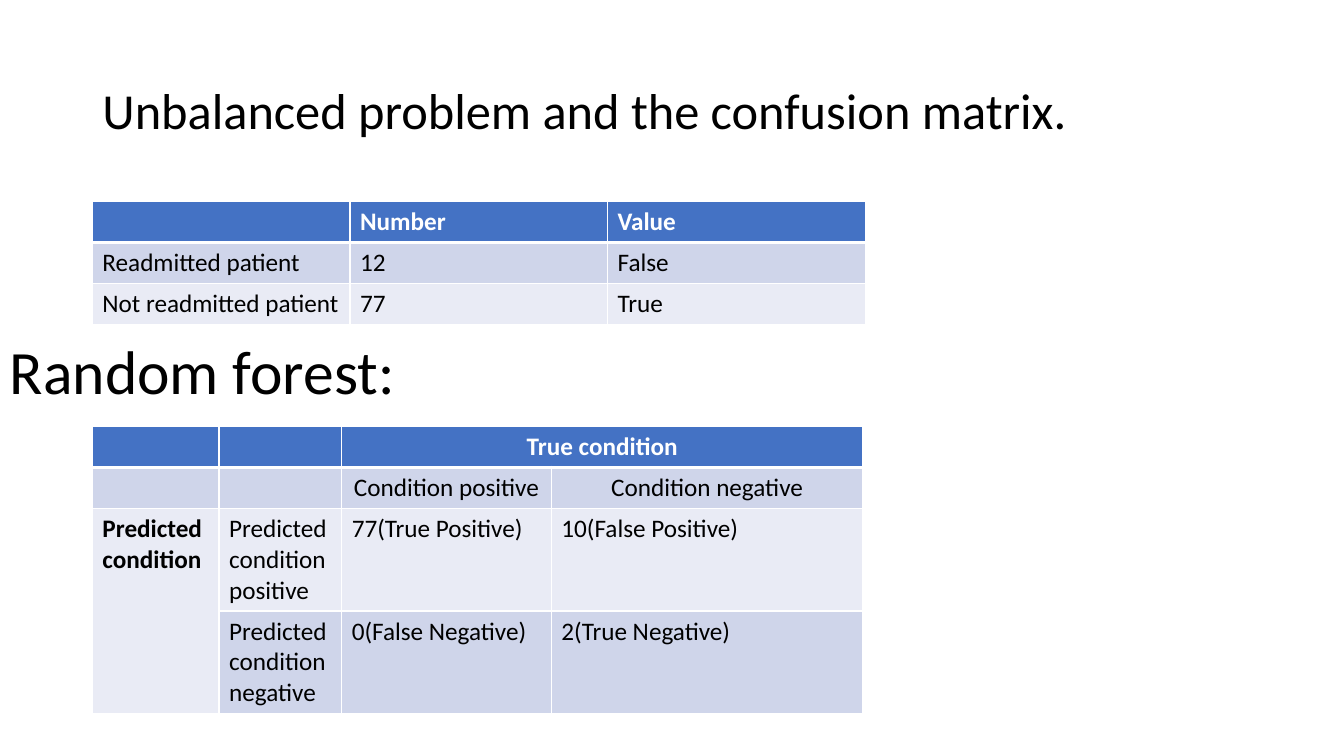
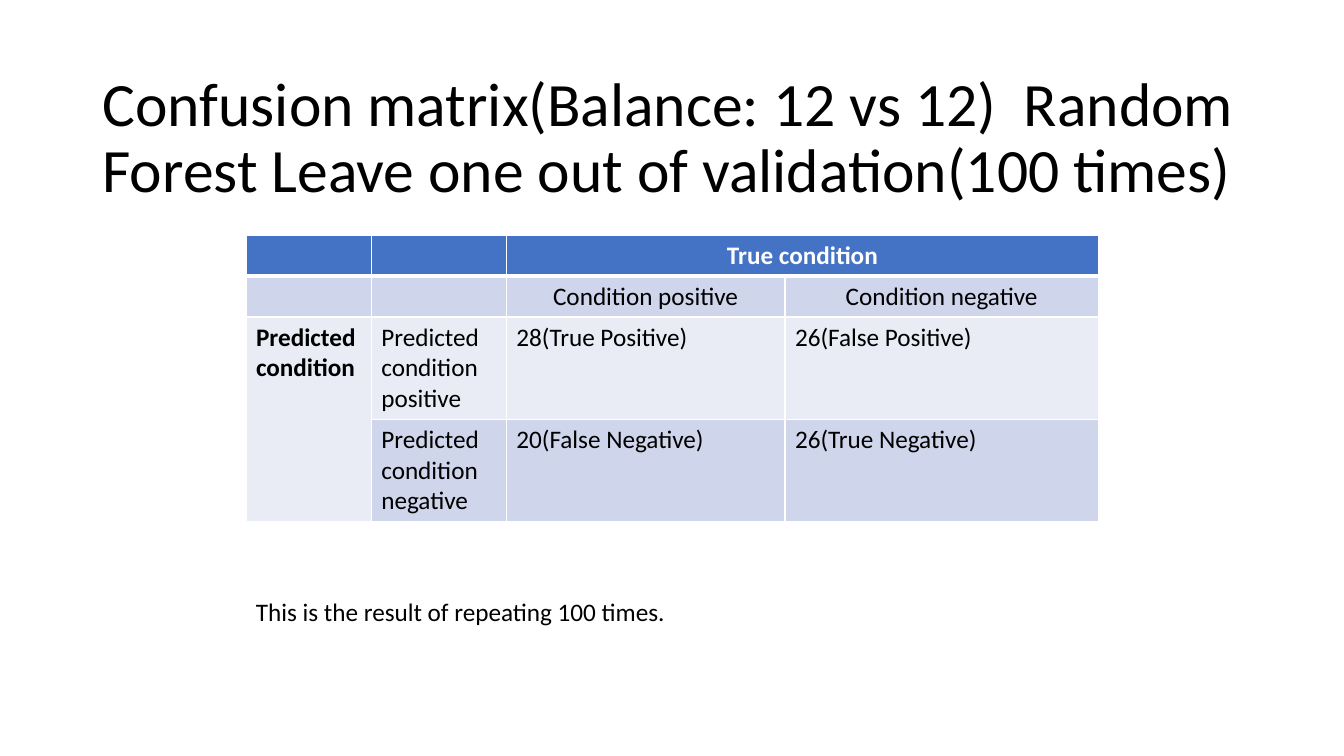
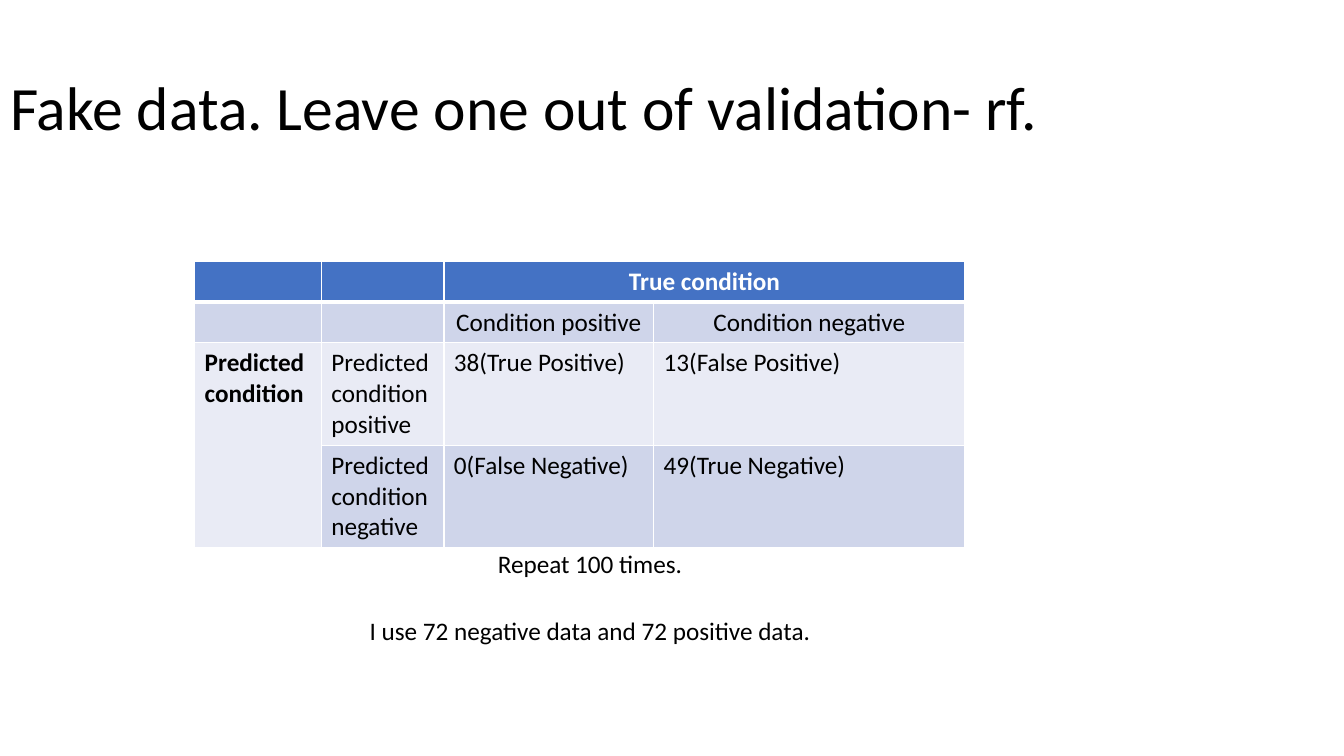
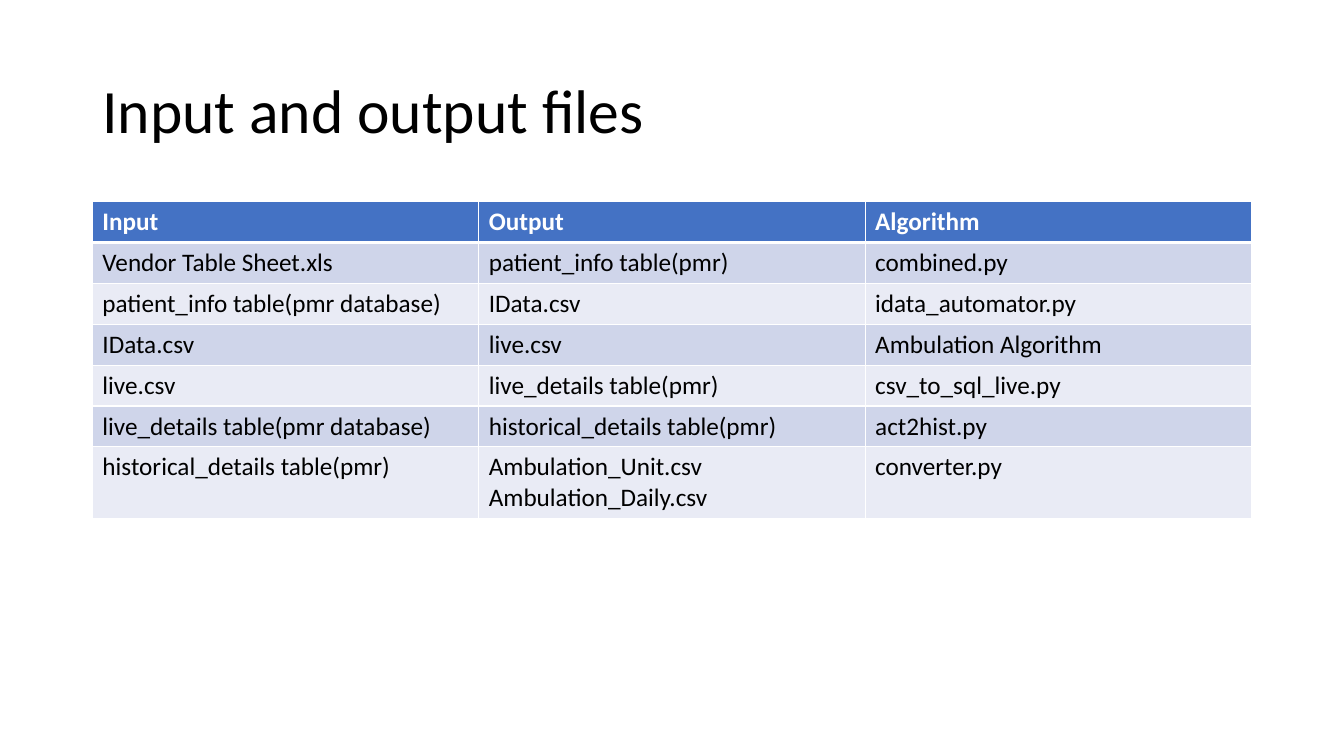
from dataclasses import dataclass

from lxml.etree import SubElement
from pptx import Presentation
from pptx.dml.color import RGBColor as Color
from pptx.enum.text import MSO_ANCHOR as Anchor, MSO_AUTO_SIZE as AutoSize, PP_ALIGN as Align
from pptx.oxml.ns import qn
from pptx.util import Pt


@dataclass(frozen=True)
class Theme:
    """Colours, font, type sizes and table measures of the deck."""
    font: str = "Calibri"
    ink: str = "000000"
    paper: str = "FFFFFF"
    header: str = "4472C4"
    bands: tuple = ("CFD5EA", "E9EBF5")
    title_size: int = 44
    small_title_size: int = 36
    body_size: int = 18
    line_height: int = 22
    cell_padding: float = 7.2
    thin: int = 1
    thick: int = 3


class Slides:
    """Holds the deck, its theme and the slide being filled."""

    def __init__(self, theme):
        """Start an empty widescreen deck."""
        self.theme = theme
        self.deck = Presentation()
        self.deck.slide_width, self.deck.slide_height = Pt(960), Pt(540)
        self.page = None

    def add_text(self, para, text, size, color=None, bold=False):
        """Add text to a paragraph, a run for each line."""
        for number, line in enumerate(text.split("\n")):
            if number:
                para.add_line_break()
            span = para.add_run()
            span.text = line
            span.font.name = self.theme.font
            span.font.size = Pt(size)
            span.font.bold = bold
            span.font.color.rgb = Color.from_string(color or self.theme.ink)

    def fill_heading(self, box, text, size):
        """Put heading text in a box, left and vertically centred."""
        frame = box.text_frame
        frame.word_wrap = True
        frame.auto_size = AutoSize.NONE
        frame.vertical_anchor = Anchor.MIDDLE
        para = frame.paragraphs[0]
        para.alignment = Align.LEFT
        para.line_spacing = 0.9
        self.add_text(para, text, size)

    def add_page(self, title, left=66, top=28.8, height=104.4, size=None):
        """Start a slide with its title."""
        self.page = self.deck.slides.add_slide(self.deck.slide_layouts[5])
        box = self.page.shapes.title
        box.left, box.top, box.width, box.height = Pt(left), Pt(top), Pt(828), Pt(height)
        self.fill_heading(box, title, size or self.theme.title_size)

    def add_heading(self, text, left, top):
        """Add a second heading in a text box."""
        box = self.page.shapes.add_textbox(Pt(left), Pt(top), Pt(828), Pt(104.4))
        self.fill_heading(box, text, self.theme.title_size)

    def add_note(self, text, left, top, width):
        """Add a line of body text."""
        box = self.page.shapes.add_textbox(Pt(left), Pt(top), Pt(width), Pt(29))
        box.text_frame.word_wrap = True
        self.add_text(box.text_frame.paragraphs[0], text, self.theme.body_size)

    def style_cell(self, cell, row):
        """Give a cell the fill and borders of its row."""
        theme = self.theme
        fill = theme.bands[(row - 1) % 2] if row else theme.header
        cell.fill.solid()
        cell.fill.fore_color.rgb = Color.from_string(fill)
        widths = {
            "a:lnL": theme.thin,
            "a:lnR": theme.thin,
            "a:lnT": theme.thick if row == 1 else theme.thin,
            "a:lnB": theme.thin if row else theme.thick,
        }
        properties = cell._tc.get_or_add_tcPr()
        for place, (tag, width) in enumerate(widths.items()):
            line = SubElement(properties, qn(tag), w=str(Pt(width)))
            SubElement(SubElement(line, qn("a:solidFill")), qn("a:srgbClr"), val=theme.paper)
            properties.insert(place, line)

    def add_table(self, rows, left, top, widths, lines):
        """Add a table; lines holds the number of text lines in each row."""
        theme = self.theme
        heights = [count * theme.line_height + theme.cell_padding for count in lines]
        table = self.page.shapes.add_table(
            len(rows), len(widths), Pt(left), Pt(top), Pt(sum(widths)), Pt(sum(heights))).table
        for column, width in zip(table.columns, widths):
            column.width = Pt(width)
        for row, (texts, height) in enumerate(zip(rows, heights)):
            table.rows[row].height = Pt(height)
            for column, text in enumerate(texts):
                cell = table.cell(row, column)
                self.style_cell(cell, row)
                paragraphs = text if isinstance(text, list) else [text]
                for number, words in enumerate(paragraphs):
                    frame = cell.text_frame
                    para = frame.add_paragraph() if number else frame.paragraphs[0]
                    if words:
                        self.add_text(para, words, theme.body_size,
                                      theme.ink if row else theme.paper, bold=row == 0)
        return table

    def add_confusion_matrix(self, counts, left, top, widths):
        """Add a matrix of true and false positives and negatives."""
        true_pos, false_pos, false_neg, true_neg = counts
        rows = [
            ["", "", "True condition", ""],
            ["", "", "Condition positive", "Condition negative"],
            ["Predicted\ncondition", "Predicted condition\npositive",
             f"{true_pos}(True Positive)", f"{false_pos}(False Positive)"],
            ["", "Predicted condition\nnegative",
             f"{false_neg}(False Negative)", f"{true_neg}(True Negative)"],
        ]
        table = self.add_table(rows, left, top, widths, [1, 1, 3, 3])
        table.cell(0, 2).merge(table.cell(0, 3))
        table.cell(2, 0).merge(table.cell(3, 0))
        for row, column in ((0, 2), (1, 2), (1, 3)):
            cell = table.cell(row, column)
            cell.vertical_anchor = Anchor.MIDDLE
            cell.text_frame.paragraphs[0].alignment = Align.CENTER
        for span in table.cell(2, 0).text_frame.paragraphs[0].runs:
            span.font.bold = True


def build():
    """Build the four slides and save the deck."""
    theme = Theme()
    slides = Slides(theme)
    narrow_matrix = [90.5, 87.6, 149.8, 222.5]
    wide_matrix = [89.5, 96.5, 199, 224]

    slides.add_page("Unbalanced problem and the confusion matrix.", size=theme.small_title_size)
    patients = [
        ["", "Number", "Value"],
        ["Readmitted patient", "12", "False"],
        ["Not readmitted patient", "77", "True"],
    ]
    slides.add_table(patients, 66, 144, [184] * 3, [1] * 3)
    slides.add_confusion_matrix((77, 10, 0, 2), 66, 304.8, narrow_matrix)
    slides.add_heading("Random forest:", 0, 215.3)

    slides.add_page("Confusion matrix(Balance: 12 vs 12)  Random Forest "
                    "Leave one out of validation(100 times)", top=31.7, height=136)
    slides.add_confusion_matrix((28, 26, 20, 26), 175.7, 168, wide_matrix)
    slides.add_note("This is the result of repeating 100 times.", 175.7, 422.6, 553)

    slides.add_page("Fake data. Leave one out of validation- rf.", left=0, top=26.6)
    slides.add_confusion_matrix((38, 13, 0, 49), 139, 186.5, narrow_matrix)
    slides.add_note("Repeat 100 times.", 348.5, 388, 171.4)
    slides.add_note("I use 72 negative data and 72 positive data.", 257, 436.3, 446.4)

    slides.add_page("Input and output files")
    files = [
        ["Input", "Output", "Algorithm"],
        ["Vendor Table Sheet.xls", "patient_info table(pmr)", "combined.py"],
        ["patient_info table(pmr database)", "IData.csv", "idata_automator.py"],
        ["IData.csv", "live.csv", "Ambulation Algorithm"],
        ["live.csv", "live_details table(pmr)", "csv_to_sql_live.py"],
        ["live_details table(pmr database)", "historical_details table(pmr)", "act2hist.py"],
        ["historical_details table(pmr)", ["Ambulation_Unit.csv", "Ambulation_Daily.csv"],
         "converter.py"],
    ]
    slides.add_table(files, 66, 144, [276] * 3, [1] * 6 + [2])

    slides.deck.save("out.pptx")


build()
